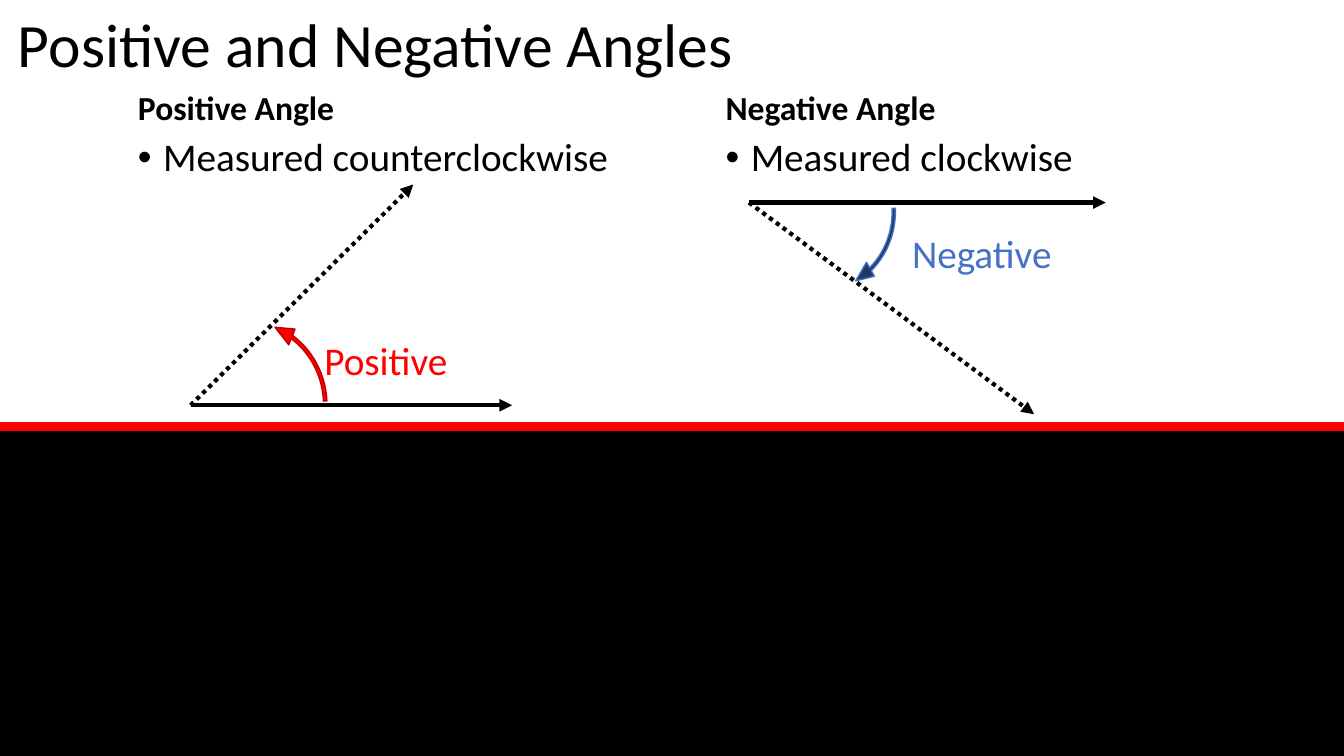
from lxml.etree import SubElement
from pptx import Presentation
from pptx.dml.color import RGBColor
from pptx.enum.dml import MSO_LINE
from pptx.enum.shapes import MSO_CONNECTOR, MSO_SHAPE
from pptx.enum.text import MSO_ANCHOR, MSO_AUTO_SIZE
from pptx.oxml.ns import qn
from pptx.util import Pt

WIDE, HIGH, SPLIT = 960, 540, 304.56
BLACK, RED, BLUE = "000000", "FF0000", "4472C4"


def paint(target, color):
    if hasattr(target, "solid"):
        target.solid()
        target = target.fore_color
    target.rgb = RGBColor.from_string(color)


def add_text(slide, box, text, size, color=BLACK, bold=False,
             anchor=MSO_ANCHOR.TOP, space=None, before=0, bullet=False):
    frame = slide.shapes.add_textbox(*map(Pt, box)).text_frame
    frame.word_wrap = True
    frame.vertical_anchor = anchor
    frame.text = text
    para = frame.paragraphs[0]
    para.space_before = Pt(before)
    if space:
        para.line_spacing = space
    font = para.runs[0].font
    font.name, font.size, font.bold = "Calibri", Pt(size), bold
    paint(font.color, color)
    if bullet:
        props = para._p.get_or_add_pPr()
        props.set("marL", str(Pt(18)))
        props.set("indent", str(Pt(-18)))
        SubElement(props, qn("a:buFont"), typeface="Arial")
        SubElement(props, qn("a:buChar"), char="•")
    return frame


def add_line(slide, start, end, color=BLACK, width=3, dash=None, arrow=False):
    line = slide.shapes.add_connector(
        MSO_CONNECTOR.STRAIGHT, *map(Pt, (*start, *end)))
    line.line.width = Pt(width)
    paint(line.line.fill, color)
    if dash:
        line.line.dash_style = dash
    if arrow:
        SubElement(line.line._get_or_add_ln(), qn("a:tailEnd"), type="triangle")
    SubElement(line.element.spPr, qn("a:effectLst"))


def add_shape(slide, kind, box, fill, edge=None):
    shape = slide.shapes.add_shape(kind, *map(Pt, box))
    shape.shadow.inherit = False
    paint(shape.fill, fill)
    if edge:
        shape.line.width = Pt(1)
        paint(shape.line.fill, edge)
    else:
        shape.line.fill.background()
    return shape


def add_turn(slide, box, angle, sweep, fill, edge, flip=False):
    turn = add_shape(slide, MSO_SHAPE.CIRCULAR_ARROW, box, fill, edge)
    turn.rotation = angle
    for index, value in enumerate((0.019, 8, 197.73, sweep, 0.047)):
        turn.adjustments[index] = value
    if flip:
        turn.element.spPr.xfrm.set("flipH", "1")


def add_rays(slide, vertex, reach, tip):
    add_line(slide, vertex, (reach, vertex[1]), arrow=True)
    add_line(slide, vertex, tip, dash=MSO_LINE.ROUND_DOT, arrow=True)


def add_head(slide, left, width, title, point):
    add_text(slide, (left, 30.24, width, 64.8), title, 24, bold=True,
             anchor=MSO_ANCHOR.BOTTOM, space=0.9, before=10)
    add_text(slide, (left, 95.04, width, 290.16), point, 28,
             space=0.9, before=10, bullet=True)


def add_label(slide, box, text, color):
    frame = add_text(slide, box, text, 28, color)
    frame.auto_size = MSO_AUTO_SIZE.SHAPE_TO_FIT_TEXT


def main():
    deck = Presentation()
    deck.slide_width, deck.slide_height = Pt(WIDE), Pt(HIGH)
    slide = deck.slides.add_slide(deck.slide_layouts[6])

    add_text(slide, (5.76, -18, 828, 104.4), "Positive and Negative Angles",
             44, anchor=MSO_ANCHOR.MIDDLE, space=0.9)
    add_head(slide, 91.44, 406, "Positive Angle", "Measured counterclockwise")
    add_head(slide, 511.2, 408, "Negative Angle", "Measured clockwise")

    add_rays(slide, (136.2, 289.5), 365.8, (295.2, 131.8))
    add_turn(slide, (108, 225.4, 132.5, 128.2), 94.6, 166.59,
             RED, "C00000", flip=True)
    add_label(slide, (224.64, 236.9, 103.7, 32.4), "Positive", RED)

    add_rays(slide, (535, 144.7), 789.8, (738.7, 295.9))
    add_turn(slide, (518.4, 88.6, 128.2, 123.1), 77.5, 168.64,
             "203864", BLUE)
    add_label(slide, (644.4, 160.6, 115.2, 36), "Negative", BLUE)

    add_shape(slide, MSO_SHAPE.RECTANGLE, (0, SPLIT, WIDE, HIGH - SPLIT), BLACK)
    add_line(slide, (0, SPLIT), (WIDE, SPLIT), RED, 6)
    deck.save("out.pptx")


main()
